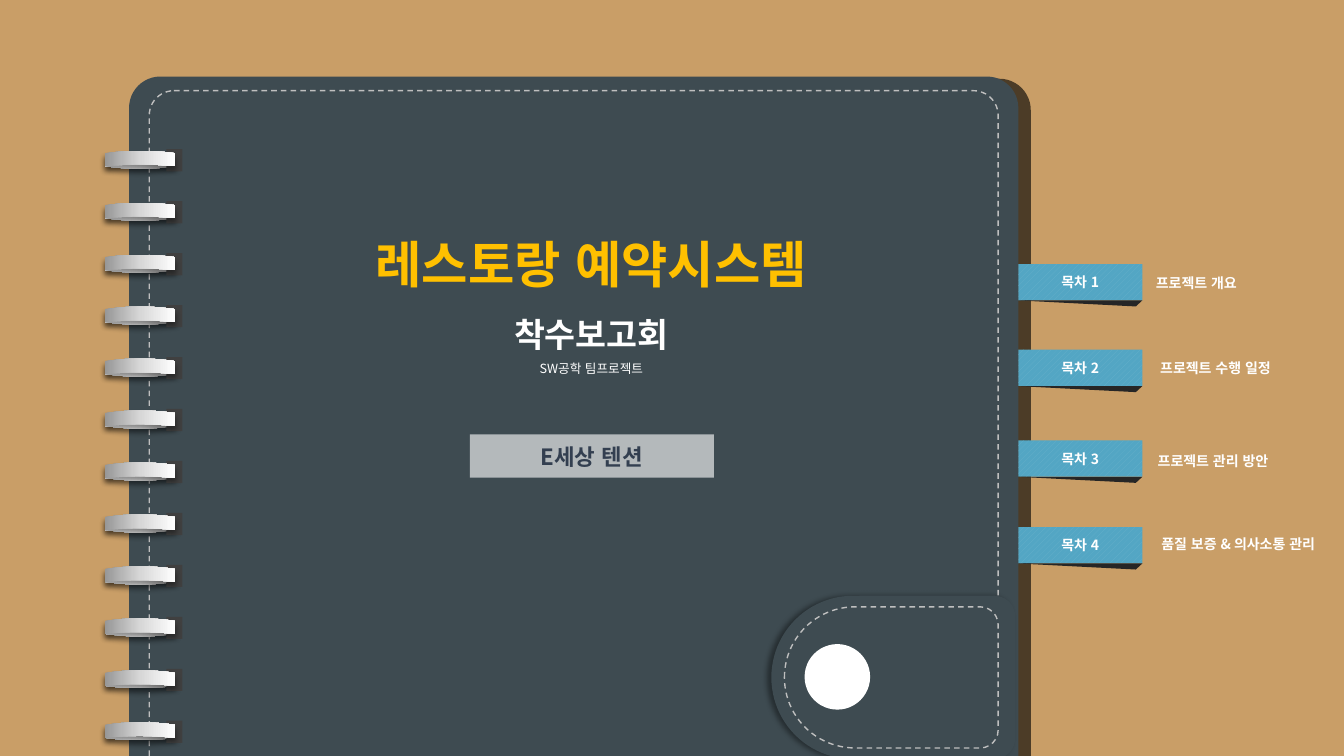
import pptx
import pptx.util
import pptx.dml.color
import pptx.enum.dml
import pptx.enum.lang
import pptx.enum.shapes
import pptx.enum.text
import pptx.oxml.ns
import copy
import lxml.etree

Inches = pptx.util.Inches
Pt = pptx.util.Pt
SHAPE = pptx.enum.shapes.MSO_SHAPE
ANCHOR = pptx.enum.text.MSO_ANCHOR
CENTER = pptx.enum.text.PP_ALIGN.CENTER
KOREAN = pptx.enum.lang.MSO_LANGUAGE_ID.KOREAN
FONT = "Noto Sans CJK KR"
COVER, STITCH, WHITE = "3E4B51", "BFBFBF", "FFFFFF"


def rgb(color):
    return pptx.dml.color.RGBColor.from_string(color)


def sub(parent, tag, **attrs):
    el = lxml.etree.SubElement(parent, pptx.oxml.ns.qn(tag))
    for name, value in attrs.items():
        el.set(name, str(value))
    return el


def add_shadow(sp, alpha, blur, dist, angle):
    effects = sp._element.spPr.find(pptx.oxml.ns.qn("a:effectLst"))
    shadow = sub(effects, "a:outerShdw", blurRad=Pt(blur), dist=Pt(dist),
                 dir=angle * 60000, algn="ctr", rotWithShape=0)
    sub(sub(shadow, "a:srgbClr", val="000000"), "a:alpha", val=alpha * 1000)


def add_shape(s, kind, box, fill=None, stitched=False, adj=(), rotation=0):
    sp = s.shapes.add_shape(kind, *(Inches(v) for v in box))
    sp.shadow.inherit = False
    sp.rotation = rotation
    for i, value in enumerate(adj):
        sp.adjustments[i] = value
    if fill:
        sp.fill.solid()
        sp.fill.fore_color.rgb = rgb(fill)
    else:
        sp.fill.background()
    if stitched:
        sp.line.color.rgb = rgb(STITCH)
        sp.line.width = Pt(1)
        sp.line.dash_style = pptx.enum.dml.MSO_LINE.DASH
    else:
        sp.line.fill.background()
    return sp


def add_run(p, text, color, size, bold=True):
    r = p.add_run()
    r.text = text
    values = {"name": FONT, "size": Pt(size), "bold": bold, "language_id": KOREAN}
    for name, value in values.items():
        setattr(r.font, name, value)
    r.font.color.rgb = rgb(color)
    sub(r._r.get_or_add_rPr(), "a:ea", typeface=FONT)


def write_line(sp, text, color, size, wrap=True, anchor=ANCHOR.MIDDLE):
    tf = sp.text_frame
    for name, value in {"word_wrap": wrap, "vertical_anchor": anchor}.items():
        setattr(tf, name, value)
    p = tf.paragraphs[0]
    p.alignment = CENTER
    add_run(p, text, color, size)


def add_cover(s, x, y, w, h):
    cover = add_shape(s, SHAPE.ROUND_2_SAME_RECTANGLE, (x, y, w, h), COVER,
                      adj=(0.046, 0))
    add_shadow(cover, 61, 0, 9, 10)
    add_shape(s, SHAPE.ROUND_2_SAME_RECTANGLE,
              (x + 0.2, y + 0.14, w - 0.4, h - 0.11), stitched=True, adj=(0.037, 0))


def add_ring_band(s, x, y, rotation):
    """A curved metal band, outlined in hundredths of an inch."""
    fb = s.shapes.build_freeform(0, 0, scale=Inches(0.01))
    fb.add_line_segments(((70, 0), (70, 16), (0, 16)), close=True)
    sp = fb.convert_to_shape(Inches(x), Inches(y))
    sp.rotation = rotation

    # Curved top and bottom edges
    outline = sp._element.spPr.find(".//" + pptx.oxml.ns.qn("a:path"))
    for command in list(outline):
        outline.remove(command)
    for tag, points in (("a:moveTo", ((0, 0),)),
                        ("a:cubicBezTo", ((33, 3), (46, 2), (70, 0))),
                        ("a:lnTo", ((70, 13),)),
                        ("a:cubicBezTo", ((46, 16), (31, 17), (0, 13))),
                        ("a:close", ())):
        command = sub(outline, tag)
        for px, py in points:
            sub(command, "a:pt", x=px, y=py)

    # Metal gradient
    sp.shadow.inherit = False
    sp.line.fill.background()
    sp.fill.gradient()
    sp.fill.gradient_angle = 180
    first = sp.fill.gradient_stops[0]._gs
    first.addnext(copy.deepcopy(first))
    stops = ((0, "979797"), (0.5, "D7D7D7"), (1, WHITE))
    for stop, (position, color) in zip(sp.fill.gradient_stops, stops):
        stop.position = position
        stop.color.rgb = rgb(color)
    add_shadow(sp, 40, 4, 3, 90)


def add_ring(s, x, y):
    add_ring_band(s, x, y + 0.04, 0)
    add_shape(s, SHAPE.RECTANGLE, (x + 0.61, y, 0.16, 0.22), "404040")
    add_ring_band(s, x, y + 0.01, 180)


def add_strap(s, x, y, w, h):
    # Drawn upright around the strap's centre, then turned to the left
    cx, cy = x + w / 2, y + h / 2
    for dx, across, along, stitched in ((0, h, w, False),
                                        (-0.02, h - 0.22, w - 0.3, True)):
        sp = add_shape(s, SHAPE.ROUND_2_SAME_RECTANGLE,
                       (cx + dx - across / 2, cy - along / 2, across, along), COVER,
                       stitched, (0.5, 0.127), 270)
        if not stitched:
            add_shadow(sp, 40, 4, 3, 180)
    add_shape(s, SHAPE.OVAL, (x + 0.33, cy - 0.33, 0.65, 0.65), WHITE)


def add_title(s, x, y, w, h):
    title = s.shapes.title
    for name, value in zip(("left", "top", "width", "height"), (x, y, w, h)):
        setattr(title, name, Inches(value))
    title._element.getparent().append(title._element)  # bring above the cover
    tf = title.text_frame
    values = {"word_wrap": True, "vertical_anchor": ANCHOR.TOP,
              "auto_size": pptx.enum.text.MSO_AUTO_SIZE.NONE}
    for name, value in values.items():
        setattr(tf, name, value)
    heading, course = tf.paragraphs[0], tf.add_paragraph()
    for p in (heading, course):
        p.alignment = CENTER
        p.line_spacing = 1.5
    add_run(heading, "레스토랑 예약시스템 ", "FFC000", 36)
    add_run(heading, "착수보고회", WHITE, 24)
    add_run(course, "SW공학 팀프로젝트", WHITE, 9, bold=False)


def add_team(s, *box):
    plate = add_shape(s, SHAPE.RECTANGLE, box, WHITE)
    sub(plate.fill._xPr.find(".//" + pptx.oxml.ns.qn("a:srgbClr")),
        "a:alpha", val=61000)
    write_line(plate, "E세상 텐션", "333F50", 16)


def add_tab(s, x, y, number, label, label_y, label_w, wrap):
    tab = add_shape(s, SHAPE.RECTANGLE, (x, y, 1.23, 0.36), WHITE)
    tab.fill.patterned()
    tab.fill.pattern = pptx.enum.dml.MSO_PATTERN.WIDE_UPWARD_DIAGONAL
    tab.fill.fore_color.rgb = rgb("67B1CB")
    tab.fill.back_color.rgb = rgb("53A6C4")
    write_line(tab, f"목차 {number}", WHITE, 10)
    # Folded edge below the tab
    add_shape(s, SHAPE.ISOSCELES_TRIANGLE, (x, y + 0.36, 1.23, 0.06), "262626",
              adj=(0.053,), rotation=180)
    tb = s.shapes.add_textbox(*(Inches(v) for v in (x + 1.22, label_y, label_w, 0.27)))
    write_line(tb, label, WHITE, 10, wrap, ANCHOR.TOP)


def main():
    prs = pptx.Presentation()
    prs.slide_width, prs.slide_height = Inches(13.33), Inches(7.5)
    s = prs.slides.add_slide(prs.slide_layouts[5])
    s.background.fill.solid()
    s.background.fill.fore_color.rgb = rgb("C99E67")

    # Notebook
    add_cover(s, 1.28, 0.76, 8.82, 6.74)
    rings, first, last = 12, 1.48, 7.15
    for i in range(rings):
        add_ring(s, 1.04, first + i * (last - first) / (rings - 1))
    add_strap(s, 7.65, 5.91, 2.42, 1.62)

    # Cover text
    add_title(s, 3.36, 1.96, 5.01, 1.81)
    add_team(s, 4.66, 4.31, 2.42, 0.43)

    # Contents tabs: top, label, label top, label width, wrap
    tabs = ((2.62, "프로젝트 개요", 2.67, 1.09, False),
            (3.47, "프로젝트 수행 일정", 3.52, 1.47, False),
            (4.37, "프로젝트 관리 방안", 4.44, 1.42, False),
            (5.23, "품질 보증 & 의사소통 관리", 5.26, 1.92, True))
    for number, (y, *label) in enumerate(tabs, 1):
        add_tab(s, 10.1, y, number, *label)

    prs.save("out.pptx")


if __name__ == "__main__":
    main()
